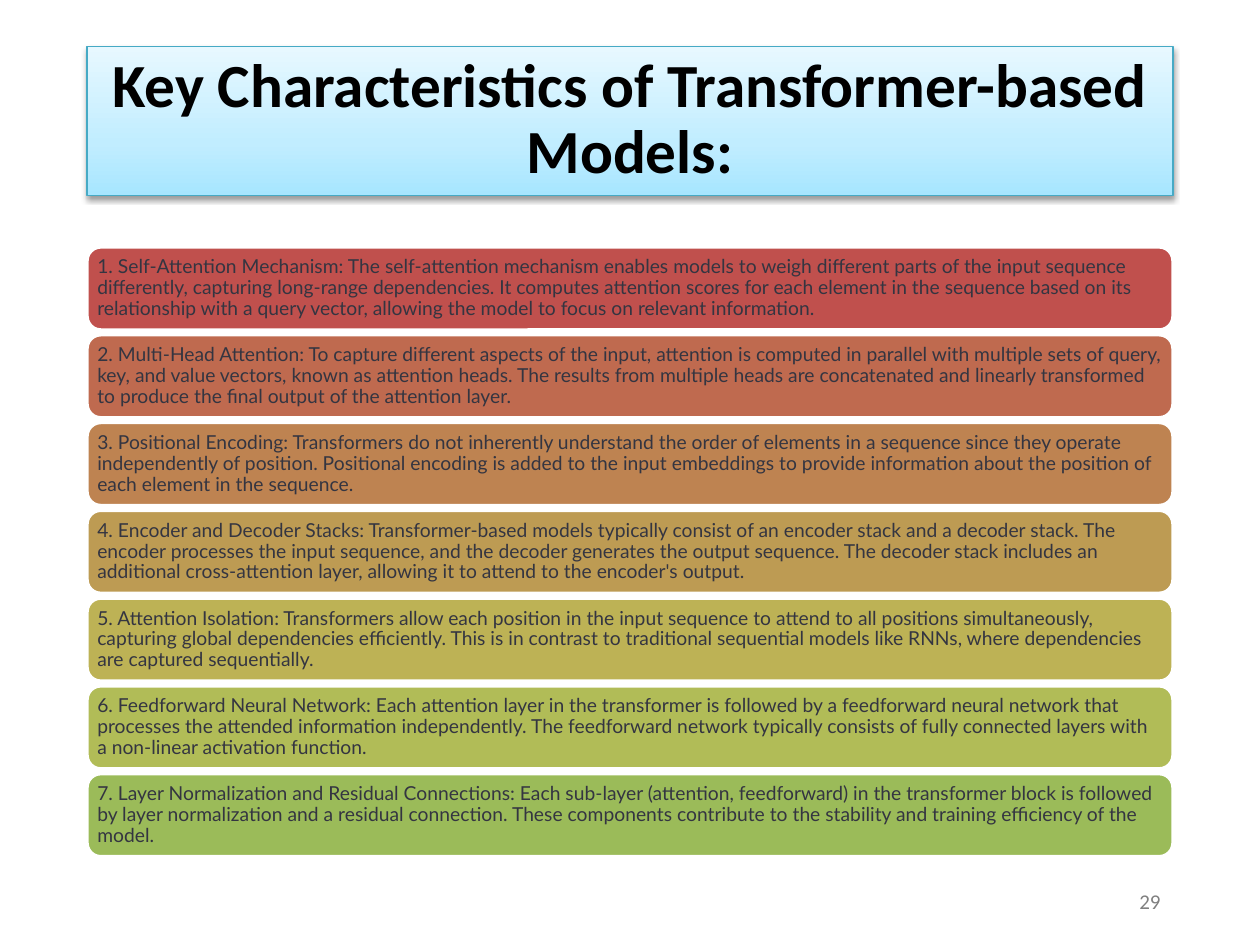
"""Build the slide on key characteristics of transformer-based models."""
from lxml import etree
from pptx import Presentation
from pptx.dml.color import RGBColor
from pptx.enum import shapes, text
from pptx.oxml import parse_xml
from pptx.oxml.ns import nsdecls, qn
from pptx.util import Inches, Pt


def color(value):
    return RGBColor.from_string(value)


def format_text(frame, font_name, size, hex_color, align, bold=False):
    frame.word_wrap = True
    frame.auto_size = text.MSO_AUTO_SIZE.NONE
    frame.vertical_anchor = text.MSO_ANCHOR.MIDDLE
    paragraph = frame.paragraphs[0]
    paragraph.alignment = align
    font = paragraph.runs[0].font
    font.name, font.size, font.bold = font_name, Pt(size), bold
    font.color.rgb = color(hex_color)


characteristics = [
    ("C0504D", "Self-Attention Mechanism: The self-attention mechanism enables models to weigh different parts of the input sequence differently, capturing long-range dependencies. It computes attention scores for each element in the sequence based on its relationship with a query vector, allowing the model to focus on relevant information."),
    ("BF6A4F", "Multi-Head Attention: To capture different aspects of the input, attention is computed in parallel with multiple sets of query, key, and value vectors, known as attention heads. The results from multiple heads are concatenated and linearly transformed to produce the final output of the attention layer."),
    ("BE8351", "Positional Encoding: Transformers do not inherently understand the order of elements in a sequence since they operate independently of position. Positional encoding is added to the input embeddings to provide information about the position of each element in the sequence."),
    ("BD9B53", "Encoder and Decoder Stacks: Transformer-based models typically consist of an encoder stack and a decoder stack. The encoder processes the input sequence, and the decoder generates the output sequence. The decoder stack includes an additional cross-attention layer, allowing it to attend to the encoder's output."),
    ("BDB255", "Attention Isolation: Transformers allow each position in the input sequence to attend to all positions simultaneously, capturing global dependencies efficiently. This is in contrast to traditional sequential models like RNNs, where dependencies are captured sequentially."),
    ("B1BC57", "Feedforward Neural Network: Each attention layer in the transformer is followed by a feedforward neural network that processes the attended information independently. The feedforward network typically consists of fully connected layers with a non-linear activation function."),
    ("9BBB59", "Layer Normalization and Residual Connections: Each sub-layer (attention, feedforward) in the transformer block is followed by layer normalization and a residual connection. These components contribute to the stability and training efficiency of the model."),
]

prs = Presentation()
prs.slide_width, prs.slide_height = Inches(10), Inches(7.5)
slide = prs.slides.add_slide(prs.slide_layouts[5])
left, width = Inches(0.69), Inches(8.62)

title = slide.shapes.title
title.left, title.top, title.width, title.height = left, Inches(0.37), width, Inches(1.18)
title.text_frame.text = "Key Characteristics of Transformer-based Models:"
format_text(title.text_frame, "Calibri", 35, "000000", text.PP_ALIGN.CENTER, bold=True)
title.text_frame.paragraphs[0].line_spacing = 0.9
title.fill.gradient()
gradient = title._element.spPr.find(qn("a:gradFill"))
stops = gradient.find(qn("a:gsLst"))
for stop in list(stops):
    stops.remove(stop)
for position, shade in [(0, "A7E6FF"), (35, "C1EDFF"), (100, "E7F8FF")]:
    stop = etree.SubElement(stops, qn("a:gs"), pos=str(position * 1000))
    etree.SubElement(stop, qn("a:srgbClr"), val=shade)
gradient.find(qn("a:lin")).set("ang", str(270 * 60000))
title.line.color.rgb = color("46AAC5")
title.line.width = Pt(0.75)
title._element.spPr.append(parse_xml(
    f'<a:effectLst {nsdecls("a")}><a:outerShdw blurRad="{Pt(3.1)}" dist="{Pt(1.6)}" '
    'dir="5400000" rotWithShape="0"><a:srgbClr val="000000"><a:alpha val="38000"/>'
    '</a:srgbClr></a:outerShdw></a:effectLst>'))

first_top, last_top = 1.96, 6.14
pitch = (last_top - first_top) / (len(characteristics) - 1)
for index, (fill, description) in enumerate(characteristics):
    bar = slide.shapes.add_shape(
        shapes.MSO_SHAPE.ROUNDED_RECTANGLE,
        left, Inches(first_top + index * pitch), width, Inches(0.66))
    bar.shadow.inherit = False
    bar.fill.solid()
    bar.fill.fore_color.rgb = color(fill)
    bar.line.color.rgb = color("FFFFFF")
    bar.line.width = Pt(2)
    frame = bar.text_frame
    frame.text = f"{index + 1}. {description}"
    frame.margin_left = frame.margin_right = Inches(0.05)
    frame.margin_top = frame.margin_bottom = Inches(0.05)
    format_text(frame, "Lato", 11, "343541", text.PP_ALIGN.LEFT)
    frame.paragraphs[0].line_spacing = 0.9

page_number = slide.shapes.add_textbox(Inches(7.15), Inches(6.95), Inches(2.16), Inches(0.4))
page_number.text_frame.text = "29"
format_text(page_number.text_frame, "Calibri", 12, "808080", text.PP_ALIGN.RIGHT)

prs.save("out.pptx")
